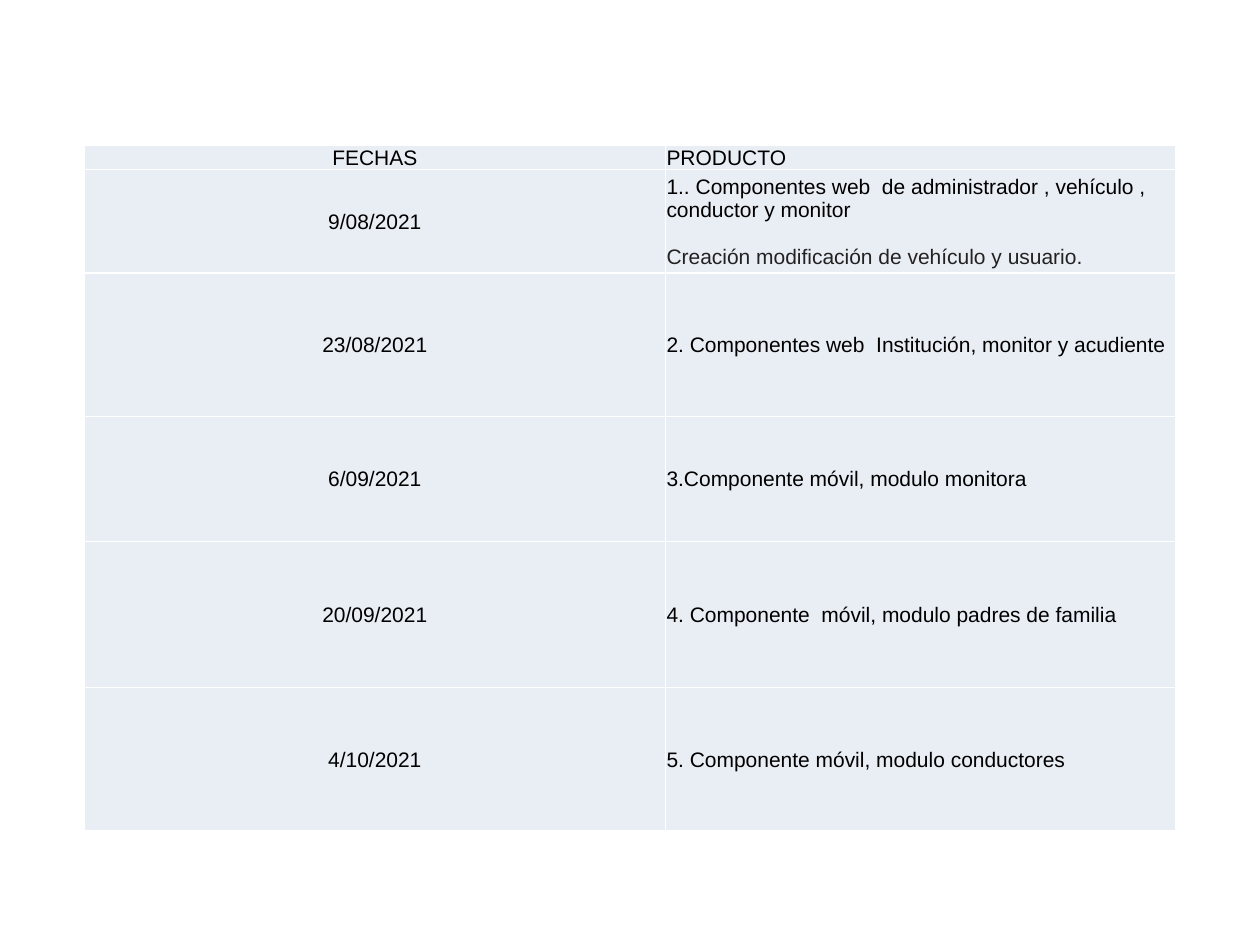
from dataclasses import dataclass

import lxml.etree
import pptx
import pptx.dml.color
import pptx.enum.text
import pptx.oxml.ns
import pptx.util

Inches, Pt = pptx.util.Inches, pptx.util.Pt
ALIGN = pptx.enum.text.PP_ALIGN
COLORS = {"fill": "E9EDF4", "rule": "FFFFFF", "text": "000000", "note": "222222"}
COLS = (4.61, 4.05)
LEFT, TOP = 0.67, 1.15


@dataclass
class Row:
    high: float
    date: str
    item: str
    note: str = ""


ROWS = [
    Row(0.19, "FECHAS", "PRODUCTO"),
    Row(0.82, "9/08/2021",
        "1.. Componentes web  de administrador , vehículo , conductor y monitor",
        "Creación modificación de vehículo y usuario."),
    Row(1.14, "23/08/2021", "2. Componentes web  Institución, monitor y acudiente"),
    Row(0.99, "6/09/2021", "3.Componente móvil, modulo monitora"),
    Row(1.16, "20/09/2021", "4. Componente  móvil, modulo padres de familia"),
    Row(1.14, "4/10/2021", "5. Componente móvil, modulo conductores"),
]


def color(name: str) -> pptx.dml.color.RGBColor:
    return pptx.dml.color.RGBColor.from_string(COLORS[name])


def add_run(para, text: str, tint: str) -> None:
    run = para.add_run()
    run.text = text
    run.font.name = "Arial"
    run.font.size = Pt(12)
    run.font.color.rgb = color(tint)


def add_rules(cell) -> None:
    props = cell._tc.get_or_add_tcPr()
    qn = pptx.oxml.ns.qn
    for place, side in enumerate(("lnL", "lnR", "lnT", "lnB")):
        line = lxml.etree.Element(qn(f"a:{side}"), w=str(Pt(1)))
        fill = lxml.etree.SubElement(line, qn("a:solidFill"))
        lxml.etree.SubElement(fill, qn("a:srgbClr"), val=COLORS["rule"])
        props.insert(place, line)


def fill_cell(cell, text: str, align, note: str = "") -> None:
    cell.fill.solid()
    cell.fill.fore_color.rgb = color("fill")
    cell.vertical_anchor = pptx.enum.text.MSO_ANCHOR.MIDDLE
    cell.margin_left = cell.margin_right = cell.margin_top = Inches(0.01)
    cell.margin_bottom = 0
    para = cell.text_frame.paragraphs[0]
    para.alignment = align
    add_run(para, text, "text")
    if note:
        para = cell.text_frame.add_paragraph()
        para.alignment = align
        para.space_before = Pt(13.5)
        add_run(para, note, "note")
    add_rules(cell)


# Slide
deck = pptx.Presentation()
deck.slide_width, deck.slide_height = Inches(10), Inches(7.5)
slide = deck.slides.add_slide(deck.slide_layouts[6])

# Schedule table
high = sum(row.high for row in ROWS)
frame = slide.shapes.add_table(len(ROWS), len(COLS), Inches(LEFT), Inches(TOP),
                               Inches(sum(COLS)), Inches(high))
table = frame.table
for col, wide in zip(table.columns, COLS):
    col.width = Inches(wide)
for index, row in enumerate(ROWS):
    table.rows[index].height = Inches(row.high)
    fill_cell(table.cell(index, 0), row.date, ALIGN.CENTER)
    fill_cell(table.cell(index, 1), row.item, ALIGN.LEFT, row.note)

deck.save("out.pptx")
